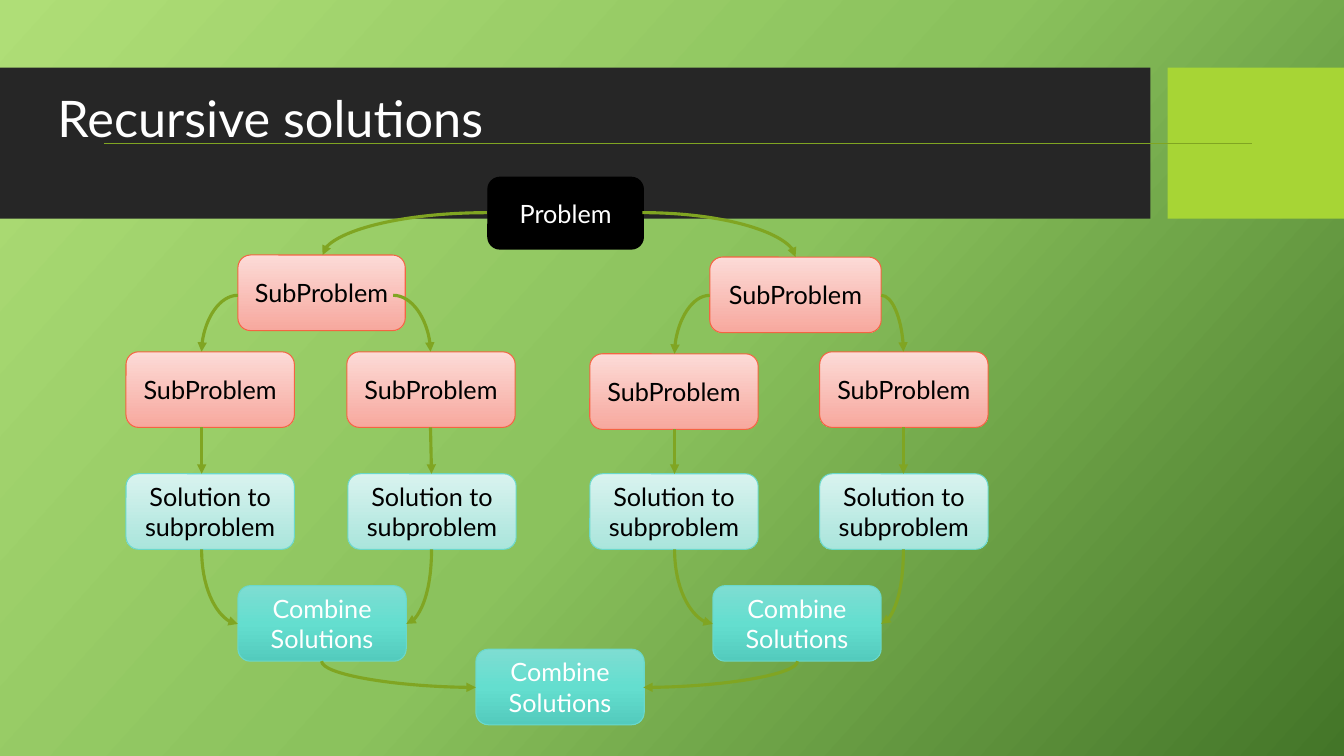
import pptx
import pptx.util
import pptx.oxml
import pptx.oxml.ns
import pptx.dml.color
import pptx.enum.shapes
import pptx.enum.text
from lxml import etree

Inches = pptx.util.Inches
Pt = pptx.util.Pt
qn = pptx.oxml.ns.qn
SHAPES = pptx.enum.shapes.MSO_SHAPE
CONNECTORS = pptx.enum.shapes.MSO_CONNECTOR
ANCHOR = pptx.enum.text.MSO_ANCHOR
ALIGN = pptx.enum.text.PP_ALIGN

COLOURS = {"white": "FFFFFF", "black": "000000", "band": "262626",
           "lime": "A7D535", "arrow": "80A522", "red": "F46442", "teal": "6AD8CB"}
BACKGROUND = [(0, "AFDE77"), (50, "8BC25D"), (100, "437528")]
PINK = [(0, "FCDBD7"), (100, "F7A89E")]
PALE_TEAL = [(0, "D9F3EF"), (100, "AAE5DC")]
DEEP_TEAL = [(0, "7EDDD2"), (50, "64DECF"), (100, "53CBBD")]

# Kind of box: fill, outline, outline width, text colour
STYLES = {
    "Problem": (COLOURS["black"], "black", 1, "white"),
    "SubProblem": (PINK, "red", 0.75, "black"),
    "Solution to subproblem": (PALE_TEAL, "teal", 0.75, "black"),
    "Combine Solutions": (DEEP_TEAL, "teal", 0.75, "white"),
}
BOX_WIDTH, BOX_HEIGHT = 1.67, 0.75
SOLUTION_TOP = 4.7
COMBINE_TOP = 5.81
COMBINE_MIDDLE = 6.19

# Branches: left and top of the lower subproblem, left of its solution, arrow x at both
BRANCHES = [(1.25, 3.49, 1.25, 2, 2), (3.44, 3.49, 3.45, 4.27, 4.28),
            (5.85, 3.51, 5.85, 6.69, 6.69), (8.13, 3.49, 8.13, 8.96, 8.96)]
SPLIT_STARTS = [2.36, 3.9, 7.04, 8.74]
COMBINE_ENDS = [2.36, 4.03, 7.07, 8.74]


def rgb(value):
    return pptx.dml.color.RGBColor.from_string(value)


def set_values(target, values):
    for name, value in values.items():
        setattr(target, name, value)


def set_gradient(fill, owner, stops, angle):
    fill.gradient()
    fill.gradient_angle = 360 - angle
    stop_list = next(owner.iter(qn("a:gsLst")))
    for stop in list(stop_list):
        stop_list.remove(stop)
    for position, value in stops:
        stop = etree.SubElement(stop_list, qn("a:gs"), pos=str(position * 1000))
        etree.SubElement(stop, qn("a:srgbClr"), val=value)


def write_text(shape, text, size, colour, alignment):
    frame = shape.text_frame
    set_values(frame, {"text": text, "word_wrap": True,
                       "vertical_anchor": ANCHOR.MIDDLE,
                       "auto_size": pptx.enum.text.MSO_AUTO_SIZE.NONE})
    paragraph = frame.paragraphs[0]
    paragraph.alignment = alignment
    font = paragraph.runs[0].font
    set_values(font, {"name": "Lato", "size": Pt(size)})
    font.color.rgb = rgb(COLOURS[colour])
    return paragraph


def add_band(slide, left, width, colour):
    band = slide.shapes.add_shape(SHAPES.RECTANGLE, Inches(left), Inches(0.67),
                                  Inches(width), Inches(1.5))
    band.shadow.inherit = False
    band.fill.solid()
    band.fill.fore_color.rgb = rgb(COLOURS[colour])
    band.line.fill.background()
    slide.shapes.title.element.addprevious(band.element)


def add_box(slide, text, left, top, width=BOX_WIDTH, height=BOX_HEIGHT):
    fill, outline, line_width, text_colour = STYLES[text]
    box = slide.shapes.add_shape(SHAPES.ROUNDED_RECTANGLE, Inches(left), Inches(top),
                                 Inches(width), Inches(height))
    box.shadow.inherit = False
    if isinstance(fill, list):
        set_gradient(box.fill, box.element, fill, 90)
    else:
        box.fill.solid()
        box.fill.fore_color.rgb = rgb(fill)
    box.line.color.rgb = rgb(COLOURS[outline])
    box.line.width = Pt(line_width)
    write_text(box, text, 18, text_colour, ALIGN.CENTER)


def add_line(slide, start, end, kind=CONNECTORS.STRAIGHT, width=2.25, arrow=True):
    line = slide.shapes.add_connector(kind, *(Inches(value) for value in (*start, *end)))
    line.line.color.rgb = rgb(COLOURS["arrow"])
    line.line.width = Pt(width)
    properties = line.element.spPr
    if arrow:
        etree.SubElement(properties.find(qn("a:ln")), qn("a:tailEnd"), type="triangle")
    etree.SubElement(properties, qn("a:effectLst"))
    return properties


def add_curve(slide, start, end, vertical_first=False):
    (x1, y1), (x2, y2) = start, end
    rightward = x2 > x1
    if vertical_first:
        # The frame lies on its side and is turned by a quarter about its centre
        middle_x, middle_y = (x1 + x2) / 2, (y1 + y2) / 2
        half_width, half_height = (y2 - y1) / 2, abs(x2 - x1) / 2
        if rightward:
            half_width = -half_width
        start = (middle_x - half_width, middle_y - half_height)
        end = (middle_x + half_width, middle_y + half_height)
    properties = add_line(slide, start, end, CONNECTORS.CURVE)
    properties.find(qn("a:prstGeom")).set("prst", "curvedConnector2")
    if vertical_first:
        degrees = 270 if rightward else 90
        properties.find(qn("a:xfrm")).set("rot", str(degrees * 60000))


def add_boxes(slide):
    add_box(slide, "Problem", 4.84, 1.76, 1.54, 0.71)
    add_box(slide, "SubProblem", 2.36, 2.53, 1.66)
    add_box(slide, "SubProblem", 7.04, 2.55, 1.7)
    for left, top, solution_left, _, _ in BRANCHES:
        add_box(slide, "SubProblem", left, top)
        add_box(slide, "Solution to subproblem", solution_left, SOLUTION_TOP)
    for left, top in [(2.36, COMBINE_TOP), (4.72, 6.44), (7.07, COMBINE_TOP)]:
        add_box(slide, "Combine Solutions", left, top)


def add_arrows(slide):
    # Problem to its two halves
    add_curve(slide, (4.83, 2.11), (3.2, 2.53))
    add_curve(slide, (6.37, 2.11), (7.89, 2.55))
    # Each branch: split, solve, combine
    for branch, split_x, combine_x in zip(BRANCHES, SPLIT_STARTS, COMBINE_ENDS):
        _, top, _, x, solution_x = branch
        add_curve(slide, (split_x, 2.93), (x, top))
        add_line(slide, (x, top + BOX_HEIGHT), (solution_x, SOLUTION_TOP))
        add_curve(slide, (solution_x, SOLUTION_TOP + BOX_HEIGHT),
                  (combine_x, COMBINE_MIDDLE), vertical_first=True)
    # Both halves to the final combination
    for start_x, end_x in [(3.19, 4.72), (7.91, 6.38)]:
        add_curve(slide, (start_x, COMBINE_TOP + BOX_HEIGHT), (end_x, 6.82),
                  vertical_first=True)


def main():
    presentation = pptx.Presentation()
    set_values(presentation, {"slide_width": Inches(13.33), "slide_height": Inches(7.5)})
    slide = presentation.slides.add_slide(presentation.slide_layouts[5])
    set_gradient(slide.background.fill, slide.element, BACKGROUND, 42)

    # Title on its bands, with the rule below
    title = slide.shapes.title
    set_values(title, {"left": Inches(0.47), "top": Inches(0.61),
                       "width": Inches(10.51), "height": Inches(1.18)})
    write_text(title, "Recursive solutions", 36, "white", ALIGN.LEFT).line_spacing = 0.9
    add_band(slide, 0, 11.41, "band")
    add_band(slide, 11.58, 1.75, "lime")
    add_line(slide, (1.03, 1.42), (12.42, 1.42), width=0.75, arrow=False)

    # Recursion tree
    add_boxes(slide)
    add_arrows(slide)
    presentation.save("out.pptx")


main()
